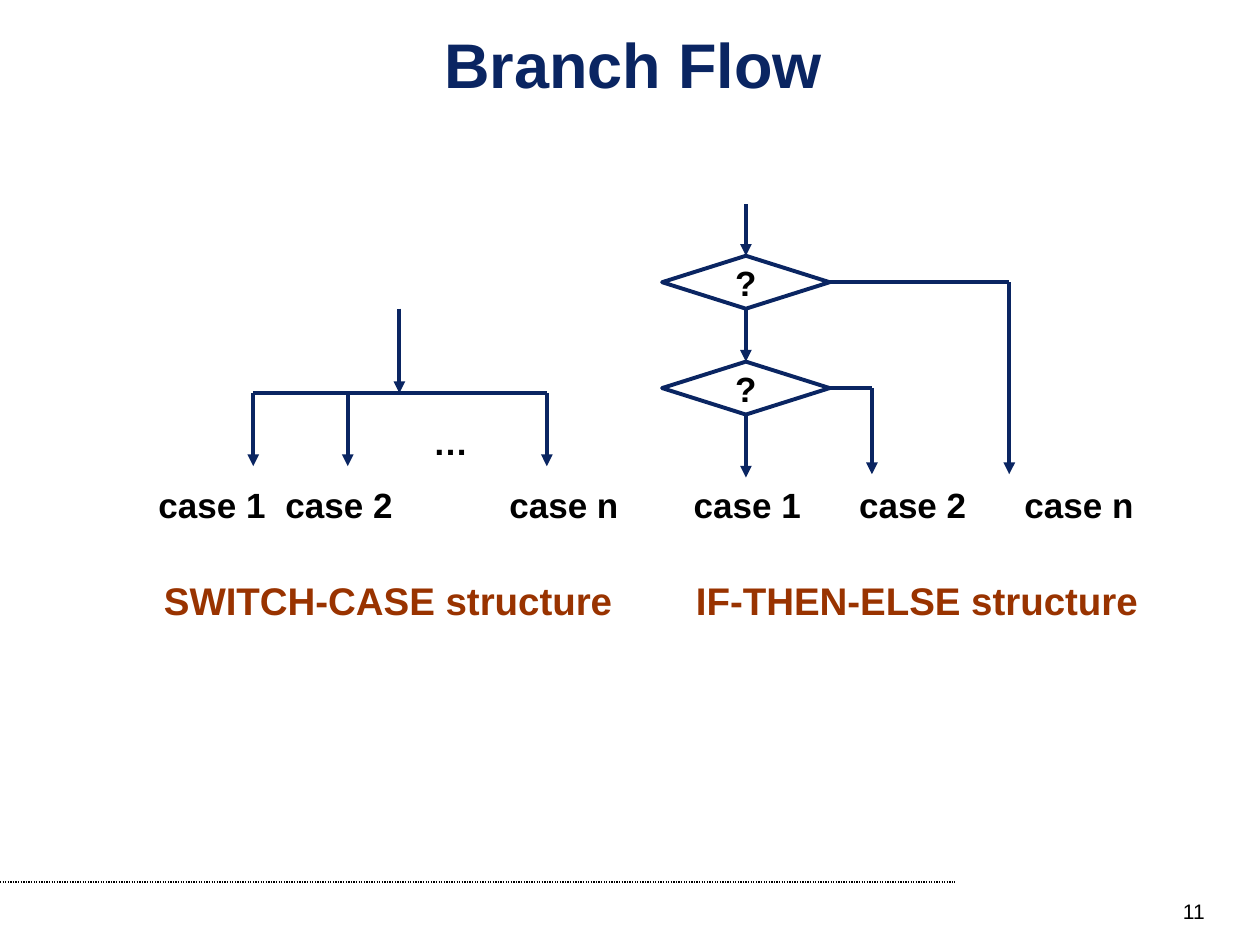
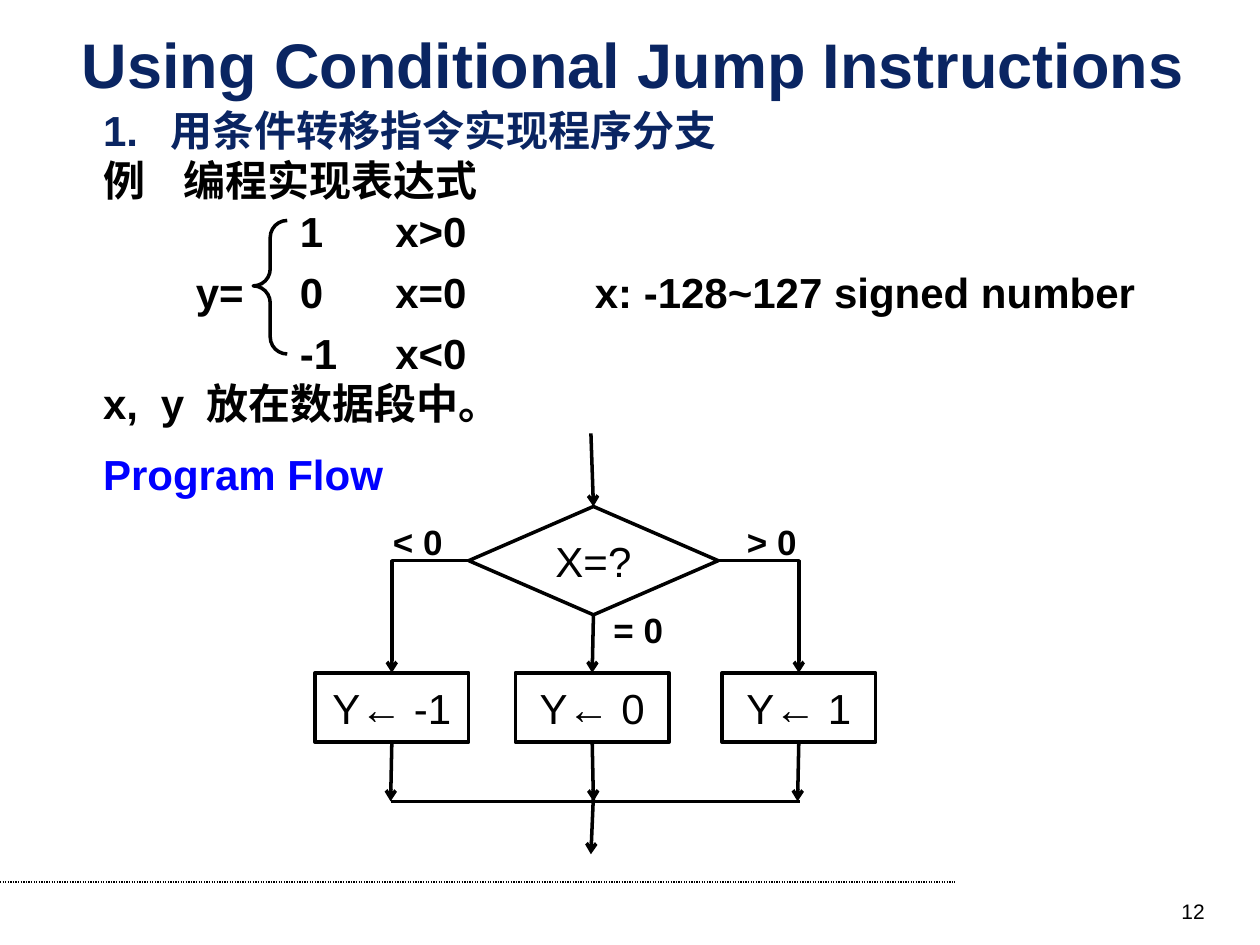
import pptx
import pptx.dml.color
import pptx.enum.dml
import pptx.enum.shapes
import pptx.enum.text
import pptx.oxml.ns
import pptx.util

Pt = pptx.util.Pt
RGBColor = pptx.dml.color.RGBColor
Shape = pptx.enum.shapes.MSO_SHAPE
Connector = pptx.enum.shapes.MSO_CONNECTOR
Align = pptx.enum.text.PP_ALIGN
Anchor = pptx.enum.text.MSO_ANCHOR

NAVY = RGBColor(0x0A, 0x25, 0x62)
BLACK = RGBColor(0x00, 0x00, 0x00)
RUST = RGBColor(0x99, 0x33, 0x00)
BLUE = RGBColor(0x00, 0x00, 0xFF)
TOP, LEFT, BOTTOM, RIGHT = range(4)


class Deck:
    """Holds the shared style and the slide being drawn."""

    def __init__(self):
        self.presentation = pptx.Presentation()
        self.presentation.slide_width = Pt(720)
        self.presentation.slide_height = Pt(540)
        self.slide = None
        self.pen(BLACK, 2, "arrow")

    def pen(self, color, weight, head):
        self.color, self.weight, self.head = color, weight, head

    def add_slide(self, title, number):
        self.slide = self.presentation.slides.add_slide(self.presentation.slide_layouts[6])
        self.pen(BLACK, 0.75, None)
        footer_line = self.line((0, 504), (546, 504))
        footer_line.line.dash_style = pptx.enum.dml.MSO_LINE.ROUND_DOT
        frame = self.text(title, 36, 18, 651.6, 36, 36, NAVY, align=Align.CENTER)
        frame.vertical_anchor = Anchor.MIDDLE
        self.text(str(number), 527.76, 509.76, 167.76, 19.44, 12, bold=False, align=Align.RIGHT)

    def fill_paragraph(self, paragraph, text, size, color=BLACK, bold=True,
                       align=Align.LEFT, tabs=()):
        paragraph.text = text
        paragraph.alignment = align
        if tabs:
            properties = paragraph._p.get_or_add_pPr()
            stops = properties.makeelement(pptx.oxml.ns.qn("a:tabLst"), {})
            properties.append(stops)
            for position in tabs:
                stop = {"pos": str(int(Pt(position))), "algn": "l"}
                stops.append(stops.makeelement(pptx.oxml.ns.qn("a:tab"), stop))
        paragraph.font.name = "Arial"
        paragraph.font.size = Pt(size)
        paragraph.font.bold = bold
        paragraph.font.color.rgb = color

    def text(self, text, left, top, width, height, size=20, color=BLACK, **style):
        box = self.slide.shapes.add_textbox(Pt(left), Pt(top), Pt(width), Pt(height))
        box.text_frame.word_wrap = True
        self.fill_paragraph(box.text_frame.paragraphs[0], text, size, color, **style)
        return box.text_frame

    def outline(self, kind, left, top, width, height, text="", size=24, bold=False):
        shape = self.slide.shapes.add_shape(kind, Pt(left), Pt(top), Pt(width), Pt(height))
        shape.shadow.inherit = False
        shape.fill.background()
        shape.line.color.rgb = self.color
        shape.line.width = Pt(self.weight)
        if text:
            frame = shape.text_frame
            frame.margin_left = frame.margin_right = 0
            frame.margin_top = frame.margin_bottom = 0
            frame.vertical_anchor = Anchor.MIDDLE
            self.fill_paragraph(frame.paragraphs[0], text, size, bold=bold, align=Align.CENTER)
        return shape

    def line(self, start, end, begin=None, finish=None, arrow=False, kind=Connector.STRAIGHT):
        connector = self.slide.shapes.add_connector(kind, *map(Pt, start + end))
        connector.line.color.rgb = self.color
        connector.line.width = Pt(self.weight)
        if begin:
            connector.begin_connect(*begin)
        if finish:
            connector.end_connect(*finish)
        properties = connector._element.spPr
        if arrow:
            outline = properties.find(pptx.oxml.ns.qn("a:ln"))
            tail = outline.makeelement(pptx.oxml.ns.qn("a:tailEnd"), {"type": self.head})
            outline.append(tail)
        properties.append(properties.makeelement(pptx.oxml.ns.qn("a:effectLst"), {}))
        return connector

    def arrow(self, start, end, begin=None, finish=None):
        return self.line(start, end, begin, finish, arrow=True)

    def elbow(self, start, end, begin, finish):
        connector = self.line(start, end, begin, finish, arrow=True, kind=Connector.ELBOW)
        geometry = connector._element.spPr.find(pptx.oxml.ns.qn("a:prstGeom"))
        geometry.set("prst", "bentConnector2")


def draw_branch_flow(deck):
    deck.add_slide("Branch Flow", 11)
    deck.pen(NAVY, 2.25, "triangle")

    bar_y, switch_left, switch_right = 224.64, 144.72, 312.48
    deck.line((switch_left, bar_y), (switch_right, bar_y))
    deck.arrow((228.24, 176.4), (228.24, bar_y))
    for case_x in (switch_left, 198.72, switch_right):
        deck.arrow((case_x, bar_y), (case_x, 266.4))
    deck.text("…", 240.48, 236.88, 59.76, 31.68)

    center, width, height = 426.24, 95.76, 30.24
    above, above_bottom = None, (center, 116.64)
    for top, branch_x in ((146.16, 576.72), (206.64, 498.24)):
        test = deck.outline(Shape.DIAMOND, center - width / 2, top, width, height, "?", 20, True)
        deck.arrow(above_bottom, (center, top), above, (test, TOP))
        middle = top + height / 2
        deck.line((center + width / 2, middle), (branch_x, middle), (test, RIGHT))
        deck.arrow((branch_x, middle), (branch_x, 271))
        above, above_bottom = (test, BOTTOM), (center, top + height)
    deck.arrow(above_bottom, (center, 272.88), above)

    cases = "case 1\tcase 2\tcase n"
    deck.text(cases, 83.5, 272.88, 288, 31.68, tabs=(72.5, 200.5))
    deck.text(cases, 389.3, 272.88, 290, 31.68, tabs=(94.5, 189))
    deck.text("SWITCH-CASE structure\tIF-THEN-ELSE structure",
              86.6, 326.16, 600, 33.84, 22, RUST, tabs=(304,))


def draw_conditional_jump(deck):
    deck.add_slide("Using Conditional Jump Instructions", 12)
    deck.pen(BLACK, 2, "arrow")

    value_tabs = (112.5, 167)
    frame = deck.text("1.\t用条件转移指令实现程序分支", 51.84, 56.16, 612, 228.24,
                      24, NAVY, tabs=(38.5,))
    body = (
        ("例\t编程实现表达式", BLACK, (45.7,), 0, 0),
        ("\t1\tx>0", BLACK, value_tabs, 0, 0),
        ("\ty=\t0\tx=0\tx: -128~127 signed number", BLACK, (53, *value_tabs, 281), 6, 6),
        ("\t-1\tx<0", BLACK, value_tabs, 0, 0),
        ("x,\ty\t放在数据段中。", BLACK, (33, 59), 0, 0),
        ("Program Flow", BLUE, (), 12, 0),
    )
    for text, color, tabs, before, after in body:
        paragraph = frame.add_paragraph()
        paragraph.space_before, paragraph.space_after = Pt(before), Pt(after)
        deck.fill_paragraph(paragraph, text, 24, color, tabs=tabs)
    brace = deck.outline(Shape.LEFT_BRACE, 144.72, 126, 19.44, 76.32)
    brace.adjustments[0] = 0.5
    brace.adjustments[1] = 0.49

    test = deck.outline(Shape.FLOWCHART_DECISION, 267.84, 289.44, 142.56, 61.92, "X=?")
    deck.arrow((337.68, 247.68), (339.12, 289.44), finish=(test, TOP))
    box_top, box_width, box_height, merge_y = 384.48, 87.84, 39.6, 457.92
    branches = (
        ("Y← -1", 180, 223.2, LEFT, (267.84, 320.4), deck.elbow),
        ("Y← 0", 294.48, 339.12, BOTTOM, (339.12, 351.36), deck.arrow),
        ("Y← 1", 412.56, 455.76, RIGHT, (410.4, 320.4), deck.elbow),
    )
    for text, left, merge_x, side, start, connect in branches:
        box = deck.outline(Shape.RECTANGLE, left, box_top, box_width, box_height, text)
        center = left + box_width / 2
        connect(start, (center, box_top), (test, side), (box, TOP))
        deck.arrow((center, box_top + box_height), (merge_x, merge_y), (box, BOTTOM))
    deck.line((223.2, merge_y), (457.2, merge_y))
    deck.arrow((339.12, 454.32), (337.68, 488.16))
    for label, left, top in (("> 0", 419.76, 293.76), ("< 0", 217.44, 293.76),
                             ("= 0", 343.44, 344.16)):
        deck.text(label, left, top, 58.32, 31.68)


def main():
    deck = Deck()
    draw_branch_flow(deck)
    draw_conditional_jump(deck)
    deck.presentation.save("out.pptx")


if __name__ == "__main__":
    main()
